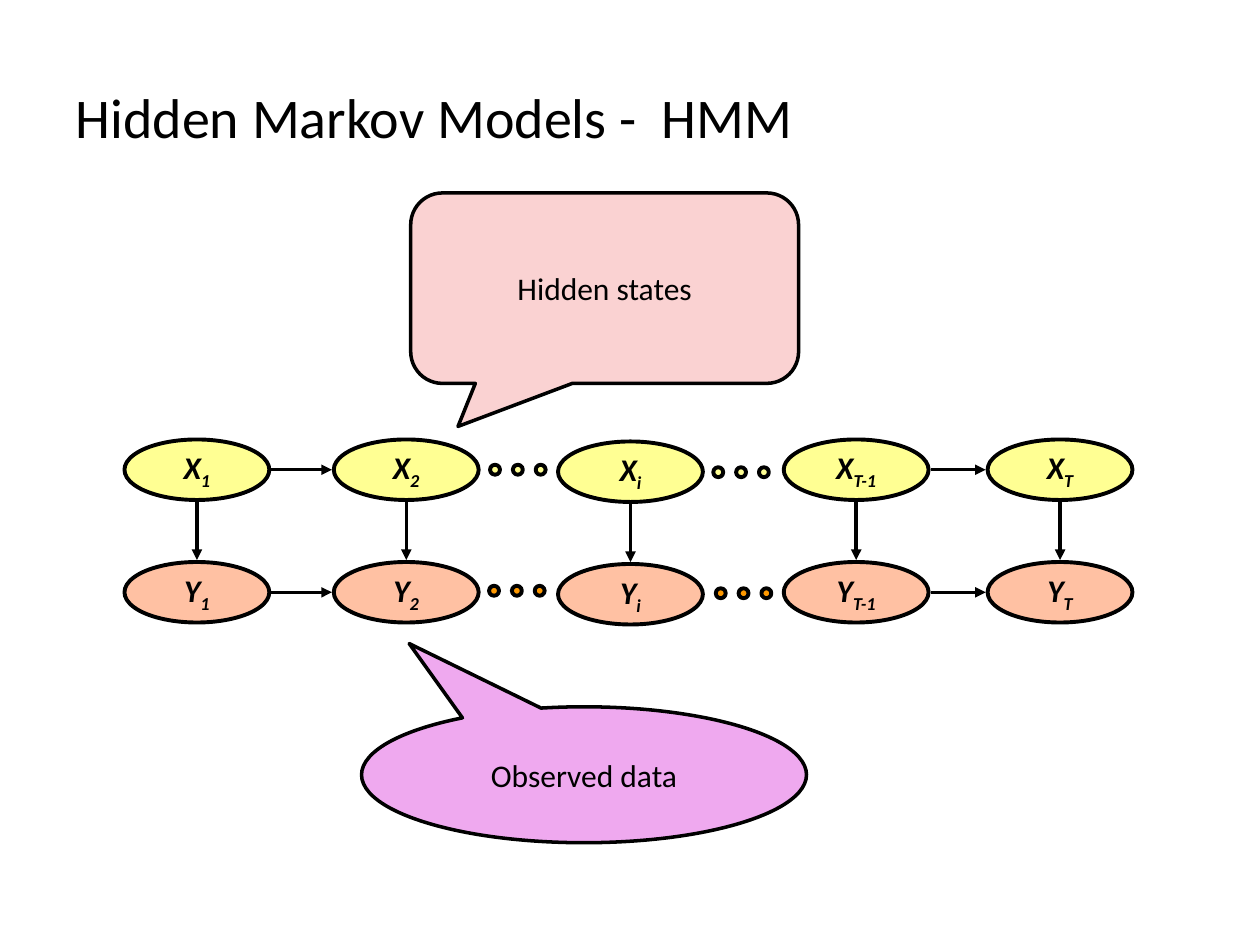
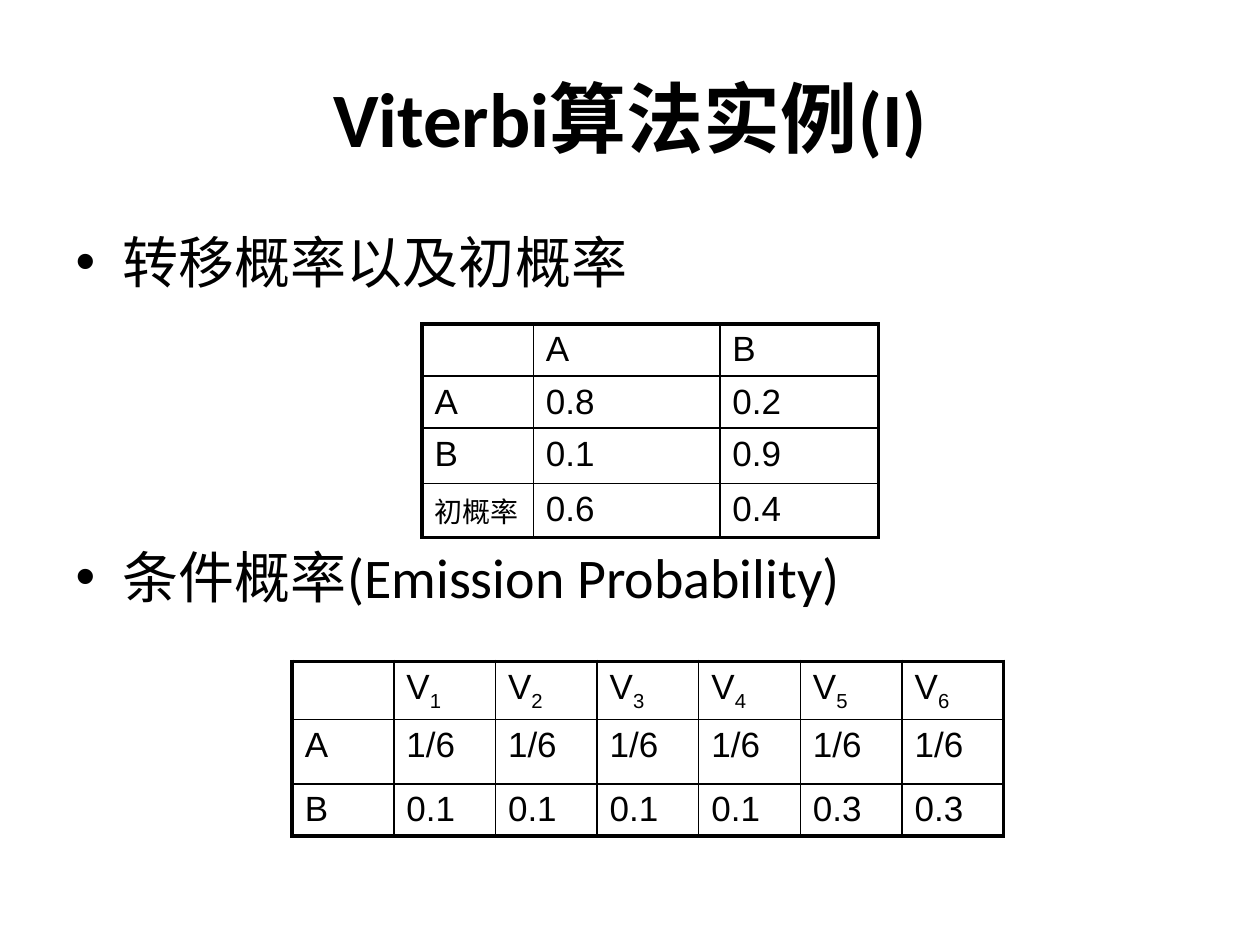
"""Build two slides on hidden Markov models and the Viterbi algorithm."""

from dataclasses import dataclass

import pptx
import pptx.dml.fill
import pptx.dml.color
import pptx.enum.shapes
import pptx.enum.text
import pptx.oxml
import pptx.oxml.ns
import pptx.presentation
import pptx.shapes.autoshape
import pptx.slide
import pptx.table
import pptx.text.text
import pptx.util

Cm = pptx.util.Cm
Pt = pptx.util.Pt
SHAPES = pptx.enum.shapes.MSO_SHAPE
ALIGN = pptx.enum.text.PP_ALIGN
ANCHOR = pptx.enum.text.MSO_ANCHOR

BLACK = "000000"
PINK = "FAD2D2"
VIOLET = "EFA9EF"
YELLOW = "FFFF66"
SALMON = "FF9966"
ORANGE = "FF9900"

TITLE_FONT = "Calibri"
TABLE_FONT = "Arial"
TITLE_BOX = (1.27, 0.76, 22.86, 3.18)
BODY_BOX = (1.27, 4.45, 22.86, 12.57)

NODE_LEFTS = (2.51, 6.73, 11.25, 15.8, 19.91)
NODE_LABELS = ("1", "2", "i", "T-1", "T")
NODE_WIDTH, NODE_HEIGHT = 2.92, 1.22
MIDDLE_COLUMN, MIDDLE_DROP = 2, 0.04
DOT_SIZE, DOT_STEP = 0.2, 0.46
ARROW_GAP = 0.04


@dataclass(frozen=True)
class Chain:
    """A row of the model: its letter, top, colours and dot positions."""

    letter: str
    top: float
    fill: str
    opacity: int
    dot_fill: str
    dot_opacity: int
    dots: tuple[tuple[float, float], ...]


@dataclass(frozen=True)
class Callout:
    """A speech bubble with its text."""

    kind: pptx.enum.shapes.MSO_SHAPE
    box: tuple[float, float, float, float]
    adjustments: tuple[float, ...]
    fill: str
    text: str


@dataclass(frozen=True)
class Grid:
    """A ruled table of probabilities."""

    left: float
    top: float
    widths: tuple[float, ...]
    heights: tuple[float, ...]
    rows: tuple[tuple[str, ...], ...]


CHAINS = (
    Chain("Y", 11.33, SALMON, 60, ORANGE, 100, ((9.86, 11.81), (14.43, 11.86))),
    Chain("X", 8.86, YELLOW, 70, YELLOW, 70, ((9.88, 9.37), (14.38, 9.42))),
)
CALLOUTS = (
    Callout(SHAPES.ROUNDED_RECTANGULAR_CALLOUT, (8.28, 3.89, 7.82, 3.84),
            (-0.378, 0.726, 0.167), PINK, "Hidden states"),
    Callout(SHAPES.OVAL_CALLOUT, (7.29, 14.25, 8.97, 2.74),
            (-0.393, -0.966), VIOLET, "Observed data"),
)
TRANSITIONS = Grid(
    8.51, 6.53, (2.24, 3.76, 3.2), (1.05, 1.05, 1.12, 1.08),
    (("", "A", "B"), ("A", "0.8", "0.2"), ("B", "0.1", "0.9"), ("初概率", "0.6", "0.4")),
)
EMISSIONS = Grid(
    5.89, 13.33, (2.05,) * 7, (1.17, 1.3, 1.05),
    (
        ("", *(f"V_{number}" for number in range(1, 7))),
        ("A", *("1/6",) * 6),
        ("B", *("0.1",) * 4, *("0.3",) * 2),
    ),
)


def paint(fill: pptx.dml.fill.FillFormat, colour: str, opacity: int = 100) -> None:
    """Fill with a solid colour, see-through when opacity is below 100."""
    fill.solid()
    fill.fore_color.rgb = pptx.dml.color.RGBColor.from_string(colour)
    if opacity < 100:
        element = fill.fore_color._xFill.find(pptx.oxml.ns.qn("a:srgbClr"))
        alpha = pptx.oxml.parse_xml(
            f'<a:alpha {pptx.oxml.ns.nsdecls("a")} val="{opacity * 1000}"/>')
        element.append(alpha)


def format_runs(paragraph: pptx.text.text._Paragraph, name: str, size: float,
                bold: bool = False, italic: bool = False) -> None:
    """Give every run of a paragraph the same black font."""
    for run in paragraph.runs:
        run.font.name = name
        run.font.size = Pt(size)
        run.font.bold = bold
        run.font.italic = italic
        paint(run.font.fill, BLACK)


def write_label(paragraph: pptx.text.text._Paragraph, label: str) -> None:
    """Write a label, lowering whatever follows an underscore."""
    base, _, index = label.partition("_")
    paragraph.text = base
    if index:
        run = paragraph.add_run()
        run.text = index
        run._r.get_or_add_rPr().set("baseline", "-25000")


def place(shape: pptx.shapes.autoshape.Shape,
          box: tuple[float, float, float, float]) -> None:
    """Move and size a shape, in centimetres."""
    shape.left, shape.top, shape.width, shape.height = map(Cm, box)


def add_titled_slide(presentation: pptx.presentation.Presentation, layout: int, title: str,
                     size: float, bold: bool, alignment: ALIGN) -> pptx.slide.Slide:
    """Add a slide and set its title."""
    slide = presentation.slides.add_slide(presentation.slide_layouts[layout])
    shape = slide.shapes.title
    place(shape, TITLE_BOX)
    shape.text_frame.text = title
    shape.text_frame.auto_size = pptx.enum.text.MSO_AUTO_SIZE.NONE
    shape.text_frame.vertical_anchor = ANCHOR.MIDDLE
    paragraph = shape.text_frame.paragraphs[0]
    paragraph.alignment = alignment
    format_runs(paragraph, TITLE_FONT, size, bold)
    return slide


def add_outlined(slide: pptx.slide.Slide, kind: SHAPES,
                 box: tuple[float, float, float, float], fill: str, opacity: int = 100,
                 line_width: float = 2.25) -> pptx.shapes.autoshape.Shape:
    """Add a filled shape with a black outline."""
    shape = slide.shapes.add_shape(kind, *map(Cm, box))
    shape.shadow.inherit = False
    paint(shape.fill, fill, opacity)
    paint(shape.line.fill, BLACK)
    shape.line.width = Pt(line_width)
    return shape


def set_caption(shape: pptx.shapes.autoshape.Shape, label: str, wrap: bool,
                emphasis: bool) -> None:
    """Centre a caption in a shape."""
    frame = shape.text_frame
    frame.word_wrap = wrap
    frame.vertical_anchor = ANCHOR.MIDDLE
    paragraph = frame.paragraphs[0]
    paragraph.alignment = ALIGN.CENTER
    write_label(paragraph, label)
    format_runs(paragraph, TITLE_FONT, 18, emphasis, emphasis)


def add_arrow(slide: pptx.slide.Slide, start: tuple[float, float],
              end: tuple[float, float]) -> None:
    """Add a black arrow between two points."""
    connector = slide.shapes.add_connector(
        pptx.enum.shapes.MSO_CONNECTOR.STRAIGHT, *map(Cm, start + end))
    paint(connector.line.fill, BLACK)
    connector.line.width = Pt(2)
    namespace = pptx.oxml.ns.nsdecls("a")
    connector.line._get_or_add_ln().append(
        pptx.oxml.parse_xml(f'<a:tailEnd {namespace} type="triangle"/>'))
    connector._element.spPr.append(pptx.oxml.parse_xml(f"<a:effectLst {namespace}/>"))


def column_drop(column: int) -> float:
    """Return how far the nodes of a column sit below their row."""
    return MIDDLE_DROP if column == MIDDLE_COLUMN else 0


def add_chain(slide: pptx.slide.Slide, chain: Chain) -> None:
    """Draw the nodes, dots and sideways arrows of a chain."""
    for column, (left, index) in enumerate(zip(NODE_LEFTS, NODE_LABELS)):
        box = (left, chain.top + column_drop(column), NODE_WIDTH, NODE_HEIGHT)
        node = add_outlined(slide, SHAPES.OVAL, box, chain.fill, chain.opacity)
        set_caption(node, f"{chain.letter}_{index}", wrap=False, emphasis=True)
    for left, top in chain.dots:
        for step in range(3):
            box = (left + step * DOT_STEP, top, DOT_SIZE, DOT_SIZE)
            add_outlined(slide, SHAPES.OVAL, box, chain.dot_fill, chain.dot_opacity)
    middle = chain.top + NODE_HEIGHT / 2
    for column in (0, 3):
        add_arrow(slide, (NODE_LEFTS[column] + NODE_WIDTH + ARROW_GAP, middle),
                  (NODE_LEFTS[column + 1] - ARROW_GAP, middle))


def add_emission_arrows(slide: pptx.slide.Slide, observed: Chain, hidden: Chain) -> None:
    """Join each hidden state to its observation."""
    for column, left in enumerate(NODE_LEFTS):
        center, drop = left + NODE_WIDTH / 2, column_drop(column)
        add_arrow(slide, (center, hidden.top + NODE_HEIGHT + ARROW_GAP + drop),
                  (center, observed.top - ARROW_GAP + drop))


def add_callout(slide: pptx.slide.Slide, callout: Callout) -> None:
    """Draw a speech bubble."""
    shape = add_outlined(slide, callout.kind, callout.box, callout.fill, line_width=2)
    for position, value in enumerate(callout.adjustments):
        shape.adjustments[position] = value
    set_caption(shape, callout.text, wrap=True, emphasis=False)


def rule_cell(cell: pptx.table._Cell, outer_sides: dict[str, bool]) -> None:
    """Rule the sides of a cell, thicker on the outside of the table."""
    cell.fill.background()
    properties = cell._tc.get_or_add_tcPr()
    for position, (side, outer) in enumerate(outer_sides.items()):
        width = Pt(2.25 if outer else 1)
        properties.insert(position, pptx.oxml.parse_xml(
            f'<a:ln{side} {pptx.oxml.ns.nsdecls("a")} w="{width}"><a:solidFill>'
            f'<a:srgbClr val="{BLACK}"/></a:solidFill></a:ln{side}>'))


def add_grid(slide: pptx.slide.Slide, grid: Grid) -> None:
    """Draw a probability table."""
    last_row, last_column = len(grid.heights) - 1, len(grid.widths) - 1
    table = slide.shapes.add_table(
        last_row + 1, last_column + 1, Cm(grid.left), Cm(grid.top),
        Cm(sum(grid.widths)), Cm(sum(grid.heights))).table
    table.first_row = table.horz_banding = False
    for column, width in zip(table.columns, grid.widths):
        column.width = Cm(width)
    for row, (height, labels) in enumerate(zip(grid.heights, grid.rows)):
        table.rows[row].height = Cm(height)
        for column, label in enumerate(labels):
            cell = table.cell(row, column)
            rule_cell(cell, {"L": column == 0, "R": column == last_column,
                             "T": row == 0, "B": row == last_row})
            paragraph = cell.text_frame.paragraphs[0]
            write_label(paragraph, label)
            format_runs(paragraph, TABLE_FONT, 20 if label.isascii() else 16)


def add_bullets(slide: pptx.slide.Slide, bullets: dict[str, float]) -> None:
    """Fill the body with bullets, each with its space before in points."""
    body = slide.placeholders[1]
    place(body, BODY_BOX)
    body.text_frame.text = "\n".join(bullets)
    body.text_frame.auto_size = pptx.enum.text.MSO_AUTO_SIZE.NONE
    for paragraph, space in zip(body.text_frame.paragraphs, bullets.values()):
        paragraph.space_before = Pt(space)
        format_runs(paragraph, TITLE_FONT, 32)


def main() -> None:
    """Build and save the presentation."""
    presentation = pptx.Presentation()
    presentation.slide_width, presentation.slide_height = Cm(25.4), Cm(19.05)

    model = add_titled_slide(presentation, 5, "Hidden Markov Models -  HMM", 32, False, ALIGN.LEFT)
    for chain in CHAINS:
        add_chain(model, chain)
    add_emission_arrows(model, *CHAINS)
    for callout in CALLOUTS:
        add_callout(model, callout)

    example = add_titled_slide(presentation, 1, "Viterbi算法实例(I)", 44, True, ALIGN.CENTER)
    add_bullets(example, {"转移概率以及初概率": 6.4, "条件概率(Emission Probability)": 142})
    for grid in (EMISSIONS, TRANSITIONS):
        add_grid(example, grid)

    presentation.save("out.pptx")


main()
